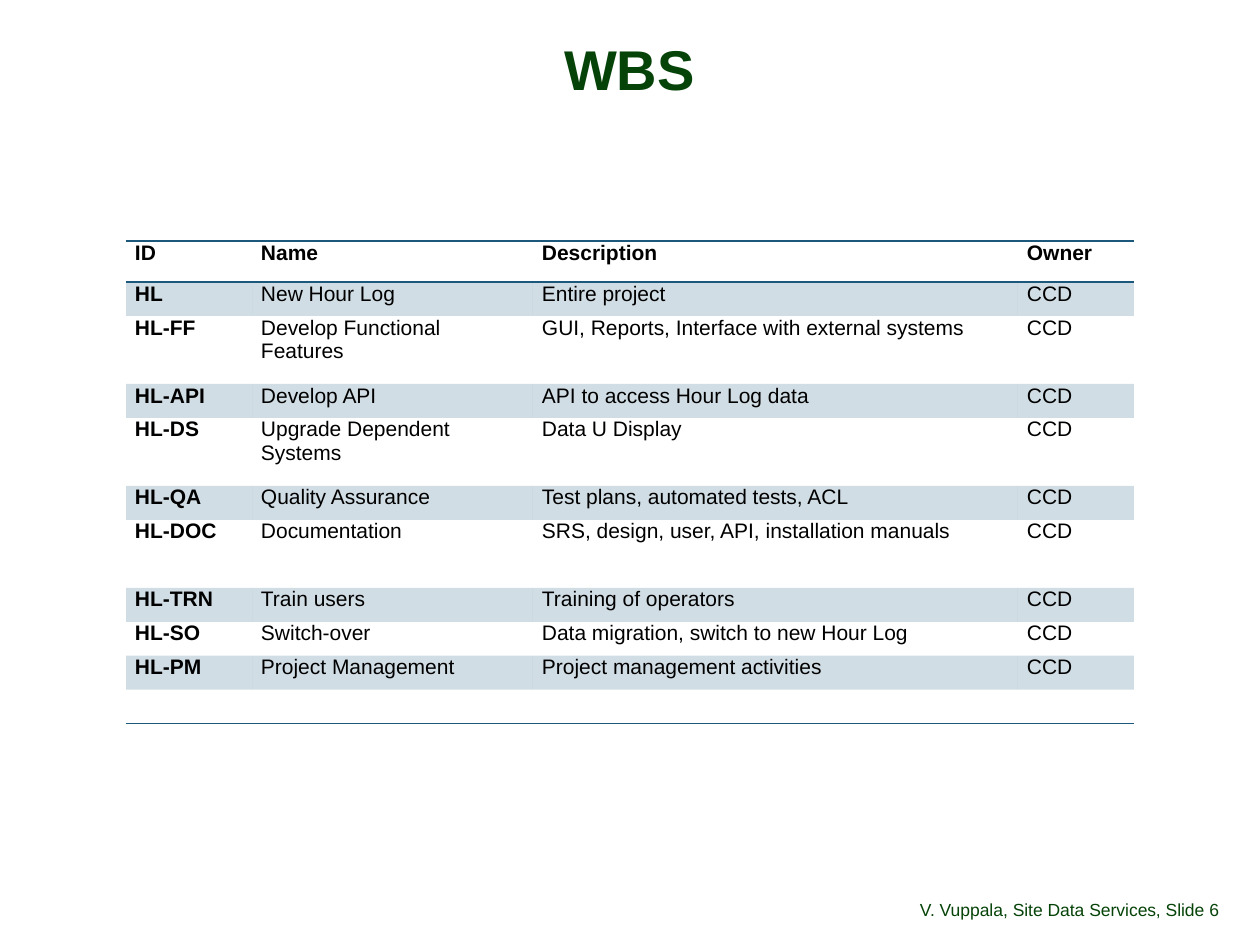
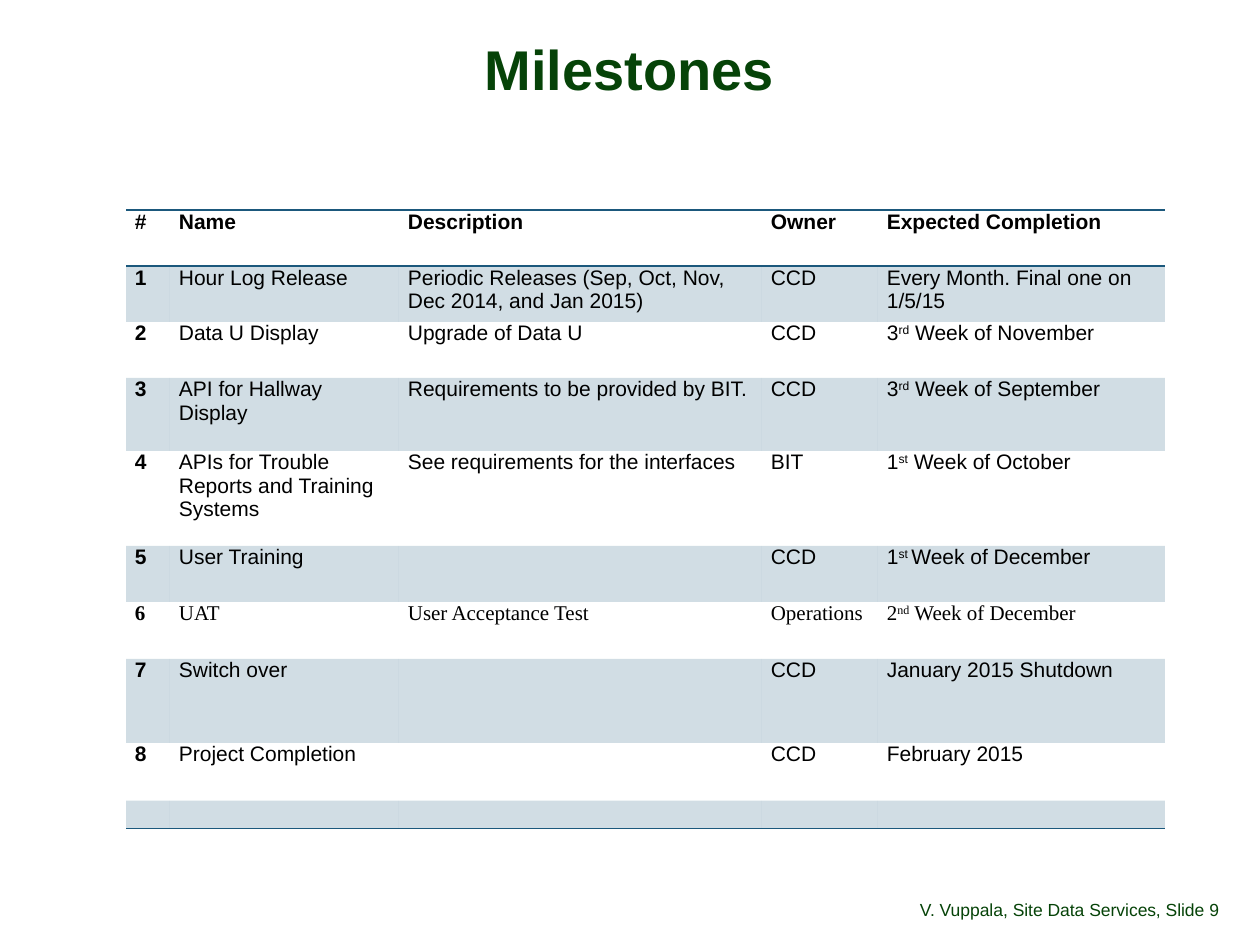
from lxml import etree
from pptx import Presentation
from pptx.dml.color import RGBColor
from pptx.enum.text import MSO_ANCHOR, PP_ALIGN
from pptx.oxml.ns import qn
from pptx.util import Emu, Pt

LEFT, CENTER, RIGHT = PP_ALIGN.LEFT, PP_ALIGN.CENTER, PP_ALIGN.RIGHT
MIDDLE, BOTTOM = MSO_ANCHOR.MIDDLE, MSO_ANCHOR.BOTTOM

EMU_PER_PIXEL = 914400 / 126
PAGE_WIDTH, PAGE_HEIGHT = 1260, 945
COLORS = {"heading": "064308", "accent": "1B587C", "text": "000000"}
SANS, SERIF = "Arial", "Times New Roman"
BAND_OPACITY = "20000"
SUPERSCRIPT = "30000"
PLAIN_TABLE_STYLE = "{2D5ABB26-0587-4C30-8999-92F81FD0307C}"

TITLE_BOX = (10, 39, 1239, 67)
FOOTER_BOX = (571, 876, 689, 50)
FOOTER_SPLIT = 585
AUTHOR = "V. Vuppala, Site Data Services"


def px(pixels):
    return Emu(round(pixels * EMU_PER_PIXEL))


def add_run(para, text, size, color, bold=False, font=SANS):
    span = para.add_run()
    span.text = text
    span.font.name = font
    span.font.size = Pt(size)
    span.font.bold = bold
    span.font.color.rgb = RGBColor.from_string(COLORS[color])
    return span


def add_label(page, box, text, size, align, anchor, spacing, insets, bold=False):
    frame = page.shapes.add_textbox(*map(px, box)).text_frame
    frame.word_wrap = True
    frame.vertical_anchor = anchor
    frame.margin_left = frame.margin_right = px(insets[0])
    frame.margin_top = frame.margin_bottom = px(insets[1])
    para = frame.paragraphs[0]
    para.alignment = align
    para.line_spacing = spacing
    add_run(para, text, size, "heading", bold)


def add_title(page, box, text):
    add_label(page, box, text, 32, CENTER, MIDDLE, 0.88, (8, 3), bold=True)


def add_footer(page, box, number):
    left, top, width, height = box
    author_box = (left, top, FOOTER_SPLIT, height)
    number_box = (left + FOOTER_SPLIT, top, width - FOOTER_SPLIT, height)
    add_label(page, author_box, AUTHOR, 10, RIGHT, BOTTOM, 0.9, (0, 6))
    add_label(page, number_box, f", Slide {number}", 10, LEFT, BOTTOM, 0.9, (0, 6))


def add_border(cell, side):
    properties = cell._tc.get_or_add_tcPr()
    line = etree.SubElement(properties, qn(f"a:{side}"), w=str(Pt(1)))
    fill = etree.SubElement(line, qn("a:solidFill"))
    etree.SubElement(fill, qn("a:srgbClr"), val=COLORS["accent"])


def fill_band(cell):
    cell.fill.solid()
    cell.fill.fore_color.rgb = RGBColor.from_string(COLORS["accent"])
    color = cell._tc.tcPr.find(qn("a:solidFill")).find(qn("a:srgbClr"))
    etree.SubElement(color, qn("a:alpha"), val=BAND_OPACITY)


def write_cell(cell, text, bold, font):
    """Text between carets is raised: 3^rd^ Week."""
    cell.margin_left = cell.margin_right = px(9)
    cell.margin_top = cell.margin_bottom = 0
    para = cell.text_frame.paragraphs[0]
    if not text:
        etree.SubElement(para._p, qn("a:endParaRPr"), sz="1200")
        return
    para.space_after = Pt(6)
    for index, part in enumerate(text.split("^")):
        span = add_run(para, part, 12, "text", bold, font)
        if index % 2:
            span._r.get_or_add_rPr().set("baseline", SUPERSCRIPT)


def add_banded_table(page, origin, widths, heights, rows, serif_row=None):
    """Bold header and first column, every other row tinted, ruled top and bottom."""
    box = (*origin, sum(widths), sum(heights))
    table = page.shapes.add_table(len(heights), len(widths), *map(px, box)).table
    table.horz_banding = False
    table._tbl.tblPr.find(qn("a:tableStyleId")).text = PLAIN_TABLE_STYLE
    for column, width in zip(table.columns, widths):
        column.width = px(width)
    for row, height in zip(table.rows, heights):
        row.height = px(height)

    last = len(heights) - 1
    for r, texts in enumerate(rows + [("",) * len(widths)]):
        font = SERIF if r == serif_row else SANS
        for c, text in enumerate(texts):
            cell = table.cell(r, c)
            write_cell(cell, text, r == 0 or c == 0, font)
            if r == 0:
                add_border(cell, "lnT")
            if r in (0, last):
                add_border(cell, "lnB")
            if r % 2:
                fill_band(cell)
            else:
                cell.fill.background()


def add_page(deck, title, number):
    page = deck.slides.add_slide(deck.slide_layouts[6])
    add_title(page, TITLE_BOX, title)
    add_footer(page, FOOTER_BOX, number)
    return page


# Table contents
WORK_PACKAGES = [
    ("ID", "Name", "Description", "Owner"),
    ("HL", "New Hour Log", "Entire project", "CCD"),
    ("HL-FF", "Develop Functional Features",
     "GUI, Reports, Interface with external systems", "CCD"),
    ("HL-API", "Develop API", "API to access Hour Log data", "CCD"),
    ("HL-DS", "Upgrade Dependent Systems", "Data U Display", "CCD"),
    ("HL-QA", "Quality Assurance", "Test plans, automated tests, ACL", "CCD"),
    ("HL-DOC", "Documentation",
     "SRS, design, user, API, installation manuals", "CCD"),
    ("HL-TRN", "Train users", "Training of operators", "CCD"),
    ("HL-SO", "Switch-over", "Data migration, switch to new Hour Log", "CCD"),
    ("HL-PM", "Project Management", "Project management activities", "CCD"),
]
MILESTONES = [
    ("#", "Name", "Description", "Owner", "Expected Completion"),
    ("1", "Hour Log Release",
     "Periodic Releases (Sep, Oct, Nov, Dec 2014, and Jan 2015)", "CCD",
     "Every Month. Final one on 1/5/15"),
    ("2", "Data U Display", "Upgrade of Data U", "CCD", "3^rd^ Week of November"),
    ("3", "API for Hallway Display", "Requirements to be provided by BIT.", "CCD",
     "3^rd^ Week of September"),
    ("4", "APIs for Trouble Reports and Training Systems",
     "See requirements for the interfaces", "BIT", "1^st^ Week of October"),
    ("5", "User Training", "", "CCD", "1^st ^Week of December"),
    ("6", "UAT", "User Acceptance Test", "Operations", "2^nd^ Week of December"),
    ("7", "Switch over", "", "CCD", "January 2015 Shutdown"),
    ("8", "Project Completion", "", "CCD", "February 2015"),
]

deck = Presentation()
deck.slide_width, deck.slide_height = px(PAGE_WIDTH), px(PAGE_HEIGHT)

# Work breakdown structure
page = add_page(deck, "WBS", 6)
add_banded_table(page, (126, 241), (126, 281, 485, 116),
                 (41, 34, 68, 34, 68, 34, 68, 34, 34, 34, 34), WORK_PACKAGES)

# Milestones
page = add_page(deck, "Milestones", 9)
add_banded_table(page, (126, 210), (44, 229, 363, 116, 287),
                 (56, 56, 56, 73, 95, 56, 57, 84, 58, 28), MILESTONES, serif_row=6)

deck.save("out.pptx")
